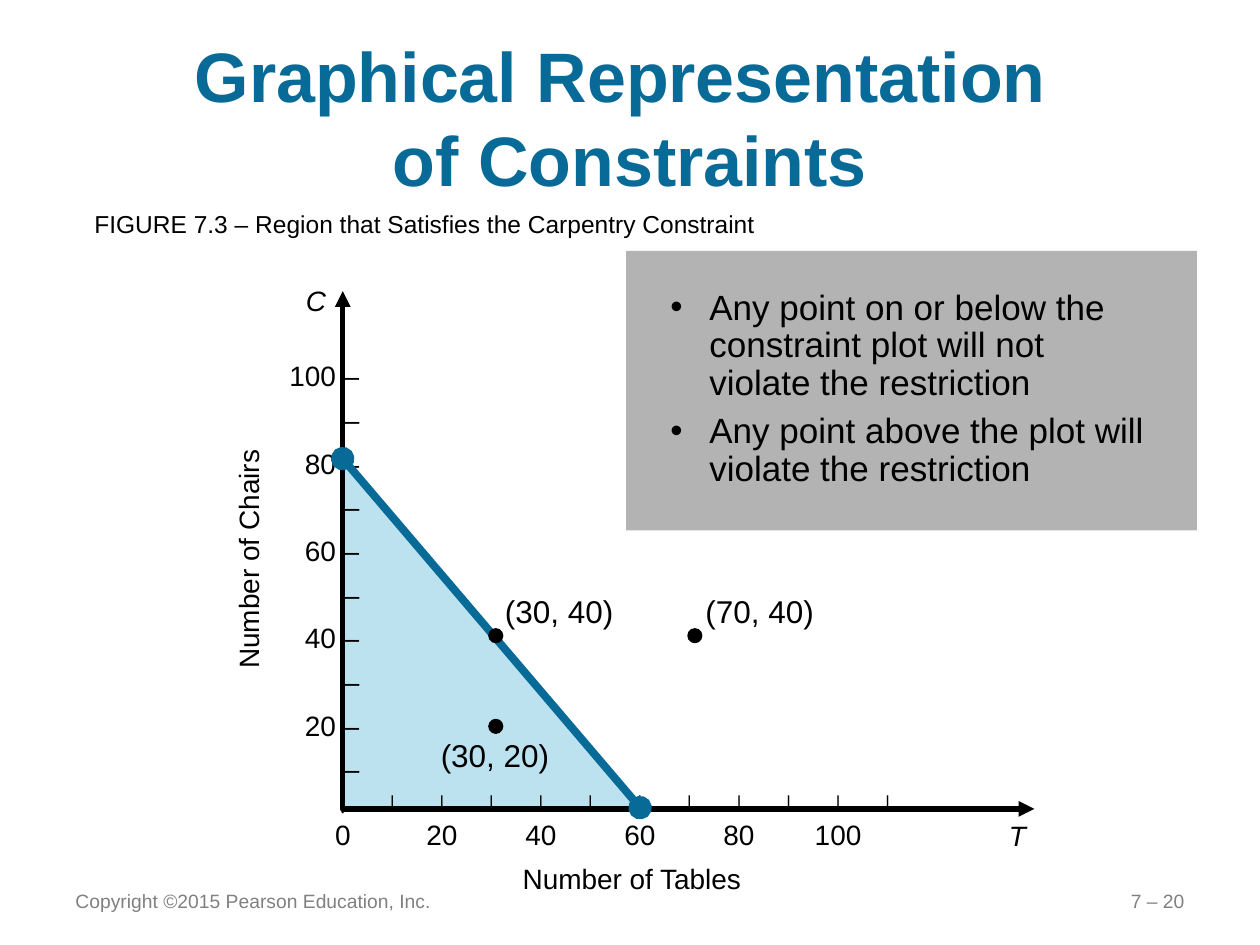
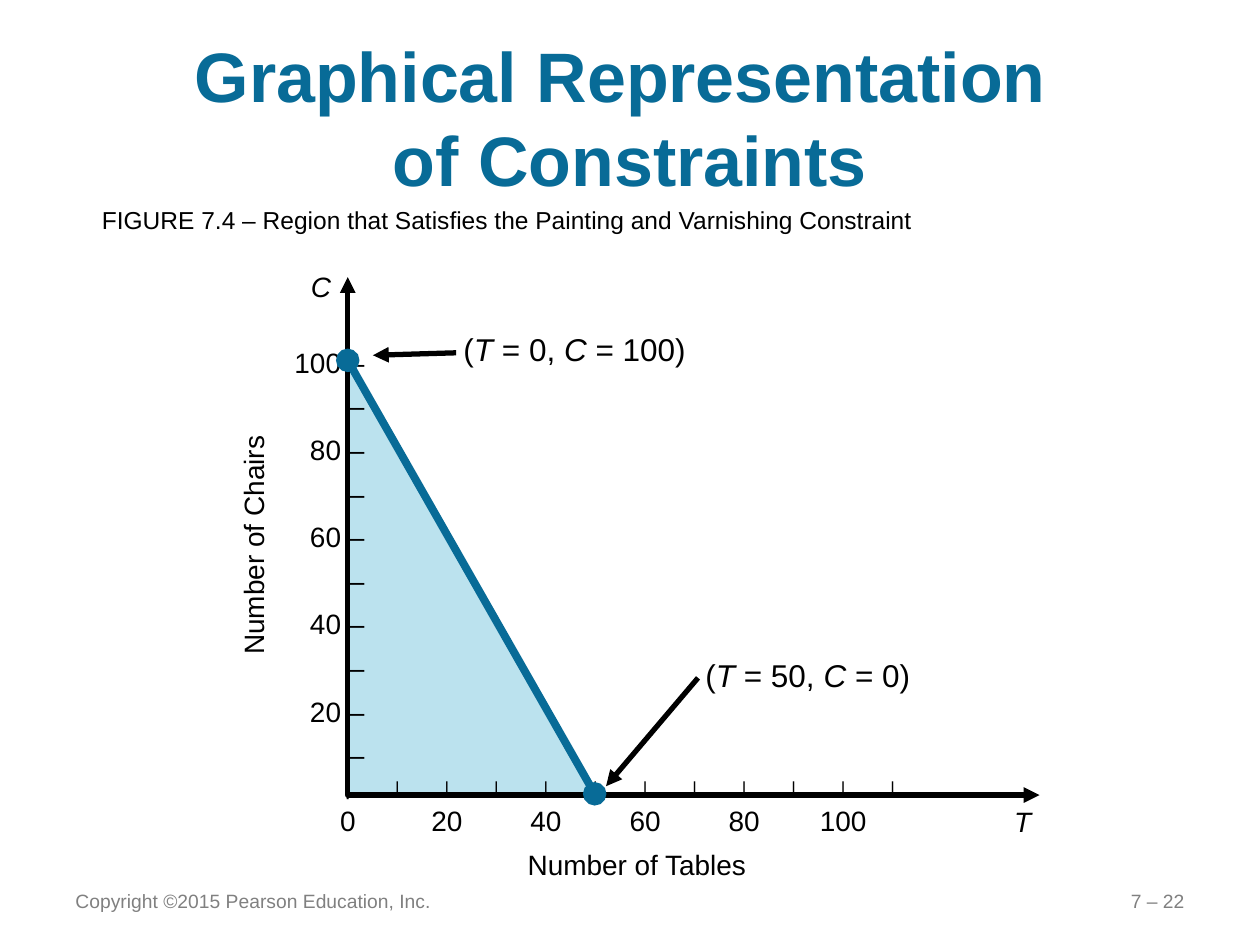
from typing import NamedTuple

from lxml.etree import SubElement
from pptx import Presentation
from pptx.dml.color import RGBColor
from pptx.enum.shapes import MSO_CONNECTOR, MSO_SHAPE
from pptx.enum.text import MSO_ANCHOR, MSO_AUTO_SIZE, PP_ALIGN
from pptx.oxml.ns import qn
from pptx.util import Inches, Pt

COLORS = {
    "title": "086B97",
    "region": "BBE2EE",
    "ink": "000000",
    "panel": "B3B3B3",
    "footer": "808080",
}
FONT = "Arial"
TITLE = "Graphical Representation \vof Constraints"
COPYRIGHT = "Copyright ©2015 Pearson Education, Inc."
TAB_STEP = 0.393
X_TICKS = 12


class Origin(NamedTuple):
    x: float
    y: float


class Label(NamedTuple):
    text: str  # parts between asterisks are italic
    x: float
    y: float
    w: float
    h: float = 0.37
    size: float = 16
    rotation: float = 0


class Point(NamedTuple):
    text: str
    text_x: float
    text_y: float
    x: float
    y: float


class Arrow(NamedTuple):
    x1: float
    y1: float
    x2: float
    y2: float


class Graph(NamedTuple):
    caption: Label
    number: str
    origin: Origin
    t_max: float  # reach of the constraint along each axis, in inches
    c_max: float


# Axis labels, placed relative to the origin
AXIS_LABELS = [
    Label("*C*", -0.39, -4.22, 0.43),
    Label("*T*", 5.19, 0.03, 0.4),
    Label("Number of Chairs", -1.73, -2.18, 1.96, rotation=270),
    Label("Number of Tables", 1.33, 0.37, 1.96),
]

CARPENTRY = Graph(
    Label("FIGURE 7.3 – Region that Satisfies the Carpentry Constraint",
          0.65, 1.61, 5.49, 0.34, 14),
    "7 – 20", Origin(2.72, 6.42), 2.36, 2.78)
PAINTING = Graph(
    Label("FIGURE 7.4 – Region that Satisfies the Painting and Varnishing Constraint",
          0.71, 1.58, 6.68, 0.34, 14),
    "7 – 22", Origin(2.76, 6.31), 1.96, 3.45)

POINTS = [
    Point("(30, 40)", 3.91, 4.65, 3.88, 4.99),
    Point("(30, 20)", 3.4, 5.79, 3.88, 5.71),
    Point("(70, 40)", 5.5, 4.65, 5.46, 4.99),
]
RULES = [
    "Any point on or below the constraint plot will not violate the restriction",
    "Any point above the plot will violate the restriction",
]
INTERCEPTS = [
    Label("(*T* = 0, *C* = 100)", 3.58, 2.57, 1.98, 0.4, 18),
    Label("(*T* = 50, *C* = 0)", 5.5, 5.16, 1.84, 0.4, 18),
]
ARROWS = [Arrow(3.62, 2.8, 2.96, 2.82), Arrow(5.54, 5.38, 4.81, 6.24)]


# Formatting helpers
def rgb(name: str) -> RGBColor:
    return RGBColor.from_string(COLORS[name])


def style_font(font, size: float, color: str = "ink") -> None:
    font.name = FONT
    font.size = Pt(size)
    font.color.rgb = rgb(color)


def style_line(sp, color: str, width: float, head: str = "", tail: str = "") -> None:
    sp.line.color.rgb = rgb(color)
    sp.line.width = Pt(width)
    ln = sp.line._get_or_add_ln()
    for tag, kind in (("a:headEnd", head), ("a:tailEnd", tail)):
        if kind:
            SubElement(ln, qn(tag), type=kind)


def add_box(slide, x: float, y: float, w: float, h: float):
    s = slide.shapes.add_textbox(Inches(x), Inches(y), Inches(w), Inches(h))
    s.text_frame.word_wrap = True
    return s


def add_label(slide, label: Label, dx: float = 0, dy: float = 0) -> None:
    s = add_box(slide, label.x + dx, label.y + dy, label.w, label.h)
    s.rotation = label.rotation
    s.text_frame.margin_right = 0
    p = s.text_frame.paragraphs[0]
    for i, part in enumerate(label.text.split("*")):
        if part:
            r = p.add_run()
            r.text = part
            style_font(r.font, label.size)
            r.font.italic = i % 2 == 1


def add_path(slide, points: list, close: bool):
    pts = [(Inches(x), Inches(y)) for x, y in points]
    builder = slide.shapes.build_freeform(*pts[0])
    builder.add_line_segments(pts[1:], close=close)
    sp = builder.convert_to_shape()
    sp.shadow.inherit = False
    return sp


def add_line(slide, line: Arrow, color: str, width: float, head: str, tail: str) -> None:
    s = slide.shapes.add_connector(MSO_CONNECTOR.STRAIGHT, *(Inches(v) for v in line))
    style_line(s, color, width, head, tail)
    SubElement(s._element.spPr, qn("a:effectLst"))


# Slide frame: title, caption and footers
def add_footer(slide, text: str, x: float, w: float, align) -> None:
    tf = add_box(slide, x, 6.95, w, 0.4).text_frame
    tf.vertical_anchor = MSO_ANCHOR.MIDDLE
    tf.text = text
    p = tf.paragraphs[0]
    p.alignment = align
    style_font(p.runs[0].font, 11, "footer")


def add_graph_slide(prs, graph: Graph):
    slide = prs.slides.add_slide(prs.slide_layouts[5])
    title = slide.shapes.title
    title.left, title.top = Inches(0.5), Inches(0.3)
    title.width, title.height = Inches(9), Inches(1.25)
    tf = title.text_frame
    tf.text = TITLE
    tf.auto_size = MSO_AUTO_SIZE.NONE
    tf.vertical_anchor = MSO_ANCHOR.MIDDLE
    p = tf.paragraphs[0]
    p.alignment = PP_ALIGN.CENTER
    for r in p.runs:
        style_font(r.font, 40, "title")
        r.font.bold = True

    add_label(slide, graph.caption)
    add_footer(slide, COPYRIGHT, 0.5, 3.08, PP_ALIGN.LEFT)
    add_footer(slide, graph.number, 7.17, 2.33, PP_ALIGN.RIGHT)
    add_region(slide, graph)
    add_axes(slide, graph.origin)
    return slide


# Graph parts
def add_region(slide, graph: Graph) -> None:
    x, y = graph.origin
    sp = add_path(slide, [(x, y - graph.c_max), (x, y), (x + graph.t_max, y)], True)
    sp.fill.solid()
    sp.fill.fore_color.rgb = rgb("region")
    sp.line.fill.background()


def add_axes(slide, origin: Origin) -> None:
    x, y = origin
    sp = add_path(slide, [(x, y - 4.11), (x, y), (x + 5.49, y)], False)
    sp.fill.background()
    style_line(sp, "ink", 3, "triangle", "triangle")

    # Vertical scale: every second tick carries a number
    tf = add_box(slide, x - 0.97, y - 3.7, 1.2, 3.94).text_frame
    ticks = [f"{n} –" if n % 20 == 0 else "–" for n in range(100, 0, -10)]
    tf.text = "\n".join(ticks)
    for p in tf.paragraphs:
        p.alignment = PP_ALIGN.RIGHT
        p.line_spacing = 1.3
        style_font(p.runs[0].font, 16)

    # Horizontal scale: marks and numbers on centred tab stops
    tf = add_box(slide, x - 0.49, y - 0.3, 5.2, 0.69).text_frame
    marks, numbers = tf.paragraphs[0], tf.add_paragraph()
    rows = [
        (marks, [("\t", 16), ("|\t", 14), ("\t".join("|" * (X_TICKS - 1)), 10)]),
        (numbers, [("\t" + "\t\t".join(str(n) for n in range(0, 101, 20)), 16)]),
    ]
    for p, runs in rows:
        p.line_spacing = 1.1
        tabs = SubElement(p._p.get_or_add_pPr(), qn("a:tabLst"))
        for i in range(1, X_TICKS + 1):
            SubElement(tabs, qn("a:tab"), pos=str(Inches(i * TAB_STEP)), algn="ctr")
        for text, size in runs:
            r = p.add_run()
            r.text = text
            style_font(r.font, size)

    for label in AXIS_LABELS:
        add_label(slide, label, x, y)


def add_constraint(slide, graph: Graph) -> None:
    x, y = graph.origin
    line = Arrow(x, y - graph.c_max, x + graph.t_max, y - 0.01)
    add_line(slide, line, "title", 4.5, "oval", "oval")


def add_point(slide, point: Point) -> None:
    add_label(slide, Label(point.text, point.text_x, point.text_y, 1.06, 0.4, 18))
    sp = slide.shapes.add_shape(MSO_SHAPE.OVAL, Inches(point.x), Inches(point.y),
                                Inches(0.11), Inches(0.11))
    sp.shadow.inherit = False
    sp.fill.solid()
    sp.fill.fore_color.rgb = rgb("ink")
    style_line(sp, "ink", 0.75)


def add_rules_panel(slide) -> None:
    sp = slide.shapes.add_shape(MSO_SHAPE.RECTANGLE, Inches(4.97), Inches(1.99),
                                Inches(4.53), Inches(2.22))
    sp.shadow.inherit = False
    sp.fill.solid()
    sp.fill.fore_color.rgb = rgb("panel")
    sp.line.fill.background()
    tf = sp.text_frame
    tf.word_wrap = True
    tf.vertical_anchor = MSO_ANCHOR.TOP
    tf.margin_left = tf.margin_right = Inches(0.35)
    tf.margin_top = tf.margin_bottom = Inches(0.31)
    tf.text = "\n".join(RULES)
    for p in tf.paragraphs:
        p.alignment = PP_ALIGN.LEFT
        p.line_spacing = 0.9
        p.space_after = Pt(6)
        pPr = p._p.get_or_add_pPr()
        pPr.set("marL", str(Inches(0.31)))
        pPr.set("indent", str(Inches(-0.31)))
        SubElement(pPr, qn("a:buFont"), typeface=FONT)
        SubElement(pPr, qn("a:buChar"), char="•")
        style_font(p.runs[0].font, 20)


def main() -> None:
    prs = Presentation()
    prs.slide_width, prs.slide_height = Inches(10), Inches(7.5)

    # Carpentry constraint
    slide = add_graph_slide(prs, CARPENTRY)
    add_rules_panel(slide)
    add_constraint(slide, CARPENTRY)
    for point in POINTS:
        add_point(slide, point)

    # Painting and varnishing constraint
    slide = add_graph_slide(prs, PAINTING)
    for arrow in ARROWS:
        add_line(slide, arrow, "ink", 3, "", "triangle")
    for label in INTERCEPTS:
        add_label(slide, label)
    add_constraint(slide, PAINTING)

    prs.save("out.pptx")


if __name__ == "__main__":
    main()
